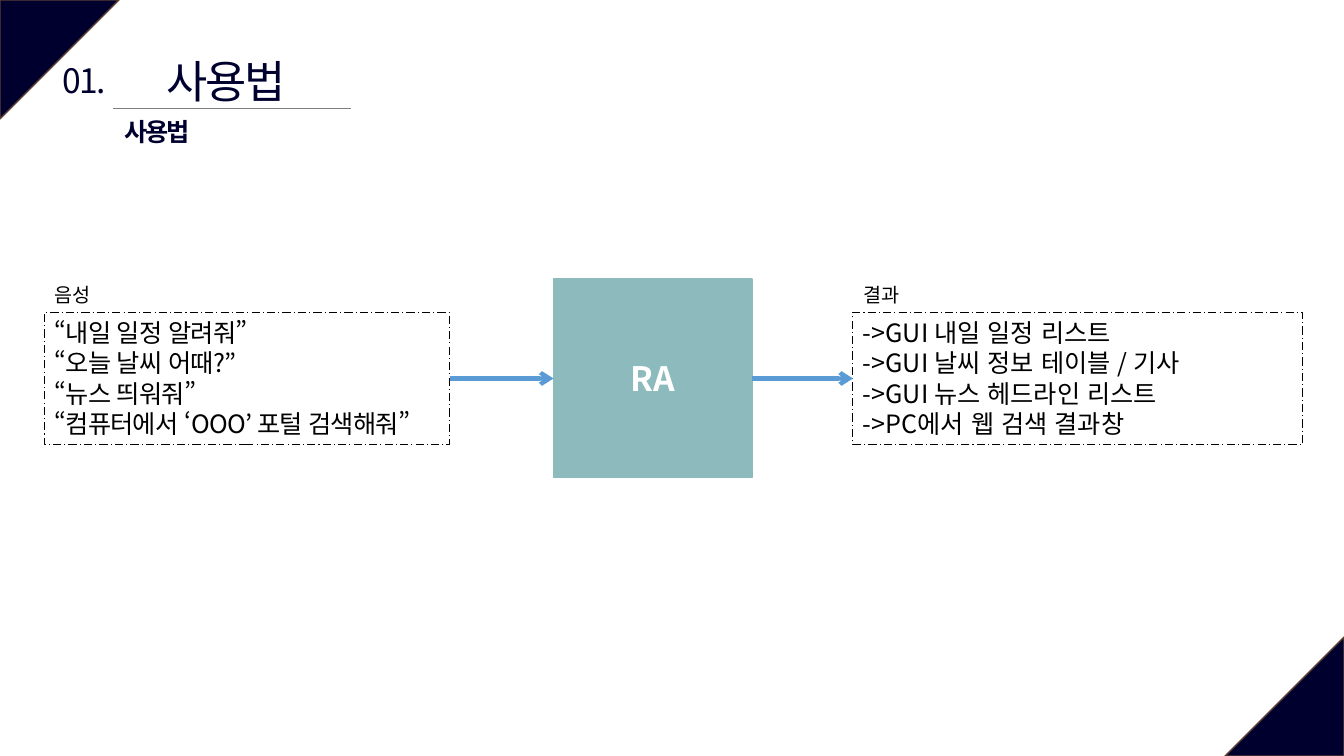
from lxml import etree
from pptx import Presentation
from pptx.dml.color import RGBColor
from pptx.enum.dml import MSO_LINE
from pptx.enum.lang import MSO_LANGUAGE_ID
from pptx.enum.shapes import MSO_CONNECTOR, MSO_SHAPE
from pptx.enum.text import MSO_ANCHOR, MSO_AUTO_SIZE, PP_ALIGN
from pptx.oxml.ns import qn
from pptx.util import Inches, Pt

NAVY = RGBColor(0x00, 0x00, 0x2F)
BROWN = RGBColor(0x5B, 0x3F, 0x33)
GRAY = RGBColor(0x80, 0x80, 0x80)
TEAL = RGBColor(0x8D, 0xBA, 0xBD)
BLUE = RGBColor(0x5B, 0x9B, 0xD5)
BLACK = RGBColor(0x00, 0x00, 0x00)
WHITE = RGBColor(0xFF, 0xFF, 0xFF)
FONT = "Noto Sans CJK KR"


def write(shape, lines, size, color, bold=False, align=PP_ALIGN.LEFT,
          anchor=MSO_ANCHOR.TOP, wrap=True, spacing=0):
    frame = shape.text_frame
    frame.word_wrap = wrap
    frame.auto_size = MSO_AUTO_SIZE.NONE
    frame.vertical_anchor = anchor
    for index, line in enumerate(lines):
        paragraph = frame.add_paragraph() if index else frame.paragraphs[0]
        paragraph.alignment = align
        run = paragraph.add_run()
        run.text = line
        run.font.size = Pt(size)
        run.font.bold = bold
        run.font.color.rgb = color
        run.font.name = FONT
        # Korean text setting gives narrow quotation marks
        run.font.language_id = MSO_LANGUAGE_ID.KOREAN
        properties = run.font._element
        etree.SubElement(properties, qn("a:ea")).set("typeface", FONT)
        if spacing:
            properties.set("spc", str(int(spacing * 100)))


def add_line(x1, y1, x2, y2, color, width):
    line = slide.shapes.add_connector(
        MSO_CONNECTOR.STRAIGHT, Inches(x1), Inches(y1), Inches(x2), Inches(y2))
    line.line.color.rgb = color
    line.line.width = Pt(width)
    etree.SubElement(line._element.spPr, qn("a:effectLst"))
    return line


presentation = Presentation()
presentation.slide_width = Inches(13.33)
presentation.slide_height = Inches(7.5)
slide = presentation.slides.add_slide(presentation.slide_layouts[5])

# Corner triangles
for left, top, rotation in [(0, 0, 90), (12.15, 6.32, 270)]:
    corner = slide.shapes.add_shape(
        MSO_SHAPE.ISOSCELES_TRIANGLE, Inches(left), Inches(top), Inches(1.18), Inches(1.18))
    corner.adjustments[0] = 0
    corner.rotation = rotation
    corner.shadow.inherit = False
    corner.fill.solid()
    corner.fill.fore_color.rgb = NAVY
    corner.line.color.rgb = BROWN
    corner.line.width = Pt(1)

# Title and its rule
title = slide.shapes.title
title.left, title.top = Inches(1.5), Inches(0.48)
title.width, title.height = Inches(1.49), Inches(0.64)
write(title, ["사용법"], 32, NAVY, align=PP_ALIGN.CENTER, wrap=False, spacing=-1.5)
add_line(1.12, 1.08, 3.48, 1.08, GRAY, 0.5)

# Section number, subtitle and box captions
labels = [
    ("01.", 0.5, 0.55, 0.67, 0.5, 24, NAVY, False, PP_ALIGN.CENTER, -1.5),
    ("사용법", 1.14, 1.1, 0.9, 0.4, 18, NAVY, True, PP_ALIGN.LEFT, -1.5),
    ("음성", 0.44, 2.76, 0.59, 0.34, 14, BLACK, False, PP_ALIGN.LEFT, 0),
    ("결과", 8.47, 2.76, 0.59, 0.34, 14, BLACK, False, PP_ALIGN.LEFT, 0),
]
for text, left, top, width, height, size, color, bold, align, spacing in labels:
    label = slide.shapes.add_textbox(Inches(left), Inches(top), Inches(width), Inches(height))
    write(label, [text], size, color, bold, align, wrap=False, spacing=spacing)

# RA block
ra_block = slide.shapes.add_shape(
    MSO_SHAPE.RECTANGLE, Inches(5.49), Inches(2.77), Inches(1.97), Inches(1.97))
ra_block.shadow.inherit = False
ra_block.fill.solid()
ra_block.fill.fore_color.rgb = TEAL
ra_block.line.color.rgb = TEAL
ra_block.line.width = Pt(1)
write(ra_block, ["RA"], 24, WHITE, True, PP_ALIGN.CENTER, MSO_ANCHOR.MIDDLE)

# Voice commands and results; the voice lines are set slightly tighter to fit
voice_lines = ["“내일 일정 알려줘”", "“오늘 날씨 어때?”", "“뉴스 띄워줘”",
               "“컴퓨터에서 ‘OOO’ 포털 검색해줘”"]
result_lines = ["->GUI 내일 일정 리스트", "->GUI 날씨 정보 테이블 / 기사",
                "->GUI 뉴스 헤드라인 리스트", "->PC에서 웹 검색 결과창"]
boxes = []
for left, width, lines, spacing in [(0.44, 4.02, voice_lines, -0.5),
                                    (8.46, 4.46, result_lines, 0)]:
    box = slide.shapes.add_shape(
        MSO_SHAPE.RECTANGLE, Inches(left), Inches(3.1), Inches(width), Inches(1.31))
    box.shadow.inherit = False
    box.fill.background()
    box.line.color.rgb = BLACK
    box.line.width = Pt(0.75)
    box.line.dash_style = MSO_LINE.LONG_DASH_DOT
    # A narrow right margin leaves room for the longest line
    box.text_frame.margin_right = Inches(0.02)
    write(box, lines, 18, BLACK, spacing=spacing)
    boxes.append(box)
voice_box, result_box = boxes

# Arrows from voice to RA to result
for source, target in [(voice_box, ra_block), (ra_block, result_box)]:
    arrow = add_line(0, 0, 1, 1, BLUE, 3)
    arrow.begin_connect(source, 3)
    arrow.end_connect(target, 1)
    etree.SubElement(arrow.line._get_or_add_ln(), qn("a:tailEnd")).set("type", "arrow")

presentation.save("out.pptx")
